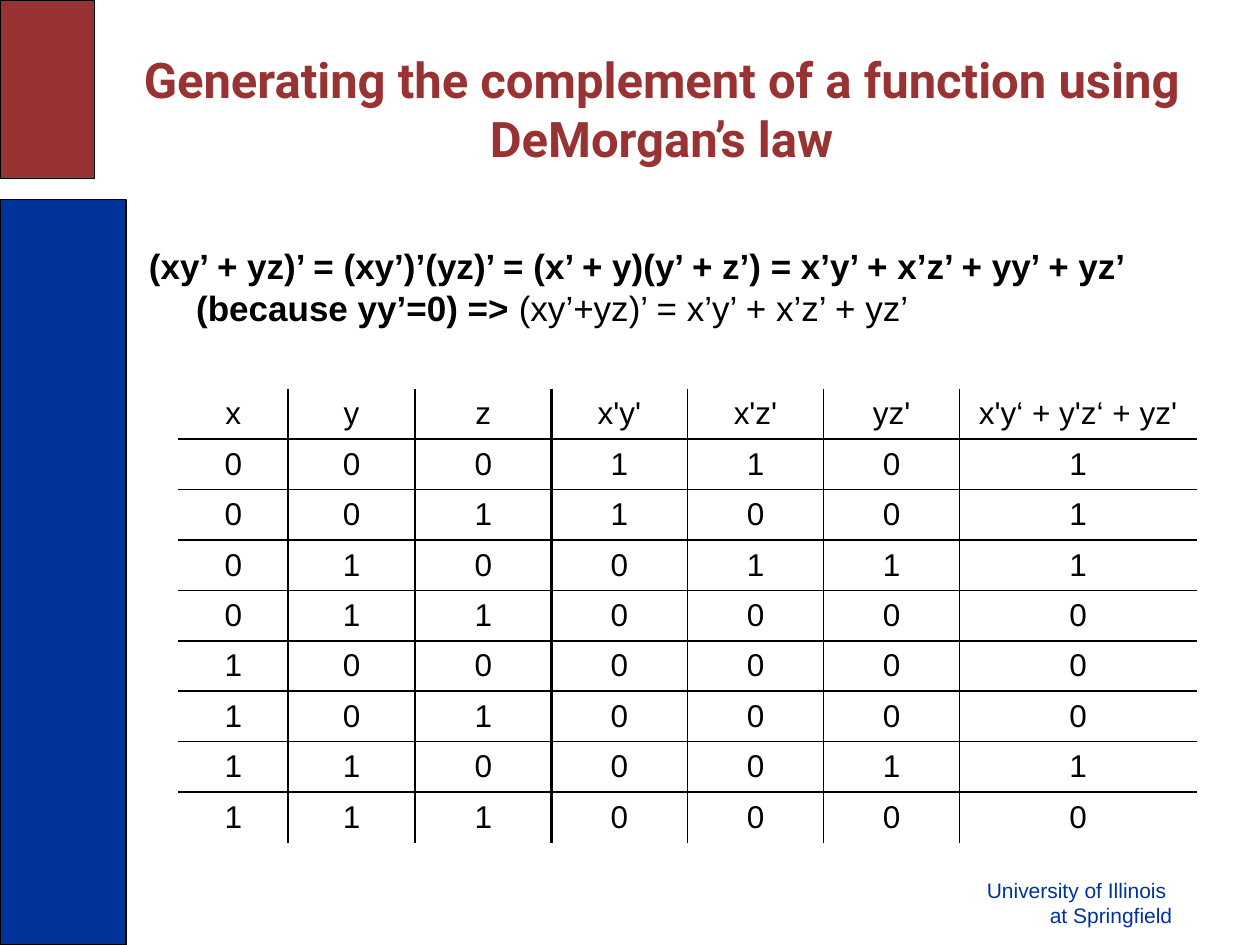
from itertools import product

from lxml.etree import SubElement
from pptx import Presentation
from pptx.dml.color import RGBColor
from pptx.enum.shapes import MSO_SHAPE as Shape
from pptx.enum.text import MSO_ANCHOR as Anchor, PP_ALIGN as Align
from pptx.oxml.ns import qn
from pptx.util import Pt

RED, BLUE, BLACK = "993333", "003399", "000000"
LINE_BREAK = "\n"
HEADERS = ["x", "y", "z", "x'y'", "x'z'", "yz'", "x'y‘ + y'z‘ + yz'"]
COLUMN_WIDTHS = [62.6, 72.7, 77.8, 77.8, 77.8, 77.8, 135.4]
ROW_HEIGHT = 28.8
INPUT_COUNT = 3


def color(value):
    """Turn a hex string into a colour."""
    return RGBColor.from_string(value)


def set_attributes(target, values):
    """Set each named attribute on the target."""
    for name, value in values.items():
        setattr(target, name, value)


def add_block(slide, box, fill):
    """Add a filled rectangle with a thin black outline."""
    shape = slide.shapes.add_shape(Shape.RECTANGLE, *map(Pt, box))
    shape.shadow.inherit = False
    shape.fill.solid()
    shape.fill.fore_color.rgb = color(fill)
    shape.line.color.rgb = color(BLACK)
    shape.line.width = Pt(0.75)


def fill_paragraph(paragraph, runs, font, size, ink, layout):
    """Write (text, bold) runs and line breaks into a paragraph."""
    set_attributes(paragraph, layout)
    for text, bold in runs:
        if text == LINE_BREAK:
            paragraph.add_line_break()
            continue
        run = paragraph.add_run()
        run.text = text
        set_attributes(run.font, {"name": font, "size": Pt(size), "bold": bold})
        run.font.color.rgb = color(ink)


def add_text(slide, box, runs, font, size, ink, layout, anchor=Anchor.TOP):
    """Add a wrapping text box with one paragraph and return the paragraph."""
    frame = slide.shapes.add_textbox(*map(Pt, box)).text_frame
    set_attributes(frame, {"word_wrap": True, "vertical_anchor": anchor})
    paragraph = frame.paragraphs[0]
    fill_paragraph(paragraph, runs, font, size, ink, layout)
    return paragraph


def set_hanging_indent(paragraph, indent):
    """Indent all lines of a paragraph but the first."""
    properties = paragraph._p.get_or_add_pPr()
    properties.set("marL", str(Pt(indent)))
    properties.set("indent", str(Pt(-indent)))


def set_border(cell, side, width):
    """Draw one cell edge in black, or hide it when the width is zero."""
    properties = cell._tc.get_or_add_tcPr()
    line = SubElement(properties, qn(f"a:ln{side}"), w=str(Pt(width)))
    if width:
        solid = SubElement(line, qn("a:solidFill"))
        SubElement(solid, qn("a:srgbClr"), val=BLACK)
    else:
        SubElement(line, qn("a:noFill"))


def truth_rows():
    """Return the header and the values for every input combination."""
    rows = [HEADERS]
    for x, y, z in product((0, 1), repeat=INPUT_COUNT):
        terms = [(1 - x) * (1 - y), (1 - x) * (1 - z), y * (1 - z)]
        rows.append([x, y, z, *terms, max(terms)])
    return rows


def edge_width(index, count):
    """Give the width of a vertical edge: none outside, thick after inputs."""
    if index in (0, count):
        return 0
    return 2 if index == INPUT_COUNT else 1


def add_truth_table(slide, left, top):
    """Add the truth table with inner rules only."""
    rows = truth_rows()
    row_count, column_count = len(rows), len(HEADERS)
    table = slide.shapes.add_table(
        row_count, column_count, Pt(left), Pt(top),
        Pt(sum(COLUMN_WIDTHS)), Pt(ROW_HEIGHT * row_count)).table
    set_attributes(table, {"first_row": False, "horz_banding": False})
    for column, width in zip(table.columns, COLUMN_WIDTHS):
        column.width = Pt(width)
    for r, values in enumerate(rows):
        table.rows[r].height = Pt(ROW_HEIGHT)
        for c, value in enumerate(values):
            cell = table.cell(r, c)
            cell.vertical_anchor = Anchor.MIDDLE
            fill_paragraph(cell.text_frame.paragraphs[0], [(str(value), False)],
                           "Arial", 18, BLACK, {"alignment": Align.CENTER})
            set_border(cell, "L", edge_width(c, column_count))
            set_border(cell, "R", edge_width(c + 1, column_count))
            set_border(cell, "T", int(r > 0))
            set_border(cell, "B", int(r < row_count - 1))
            cell.fill.background()


def main():
    """Build the slide and save it."""
    presentation = Presentation()
    set_attributes(presentation, {"slide_width": Pt(720), "slide_height": Pt(540)})
    slide = presentation.slides.add_slide(presentation.slide_layouts[6])

    add_block(slide, (0, 114, 72, 426), BLUE)
    add_block(slide, (0, 0, 54, 102), RED)
    add_text(slide, (551, 498, 126, 36),
             [("University of Illinois ", False), (LINE_BREAK, False),
              ("at Springfield", False)],
             "Arial", 12, BLUE,
             {"alignment": Align.RIGHT, "space_before": Pt(6)})
    add_text(slide, (72, 21.6, 612, 80.6),
             [("Generating the complement of a function using DeMorgan’s law", True)],
             "Roboto", 28, RED, {"alignment": Align.CENTER}, Anchor.MIDDLE)
    formula = add_text(
        slide, (78, 136, 606, 346),
        [("(xy’ + yz)’ = (xy’)’(yz)’ = (x’ + y)(y’ + z’) = "
          "x’y’ + x’z’ + yy’ + yz’ (because yy’=0) => ", True),
         ("(xy’+yz)’ = x’y’ + x’z’ + yz’", False)],
        "Arial", 20, BLACK, {"alignment": Align.LEFT, "space_before": Pt(31)})
    set_hanging_indent(formula, 27)
    add_truth_table(slide, 102, 222)

    presentation.save("out.pptx")


main()
